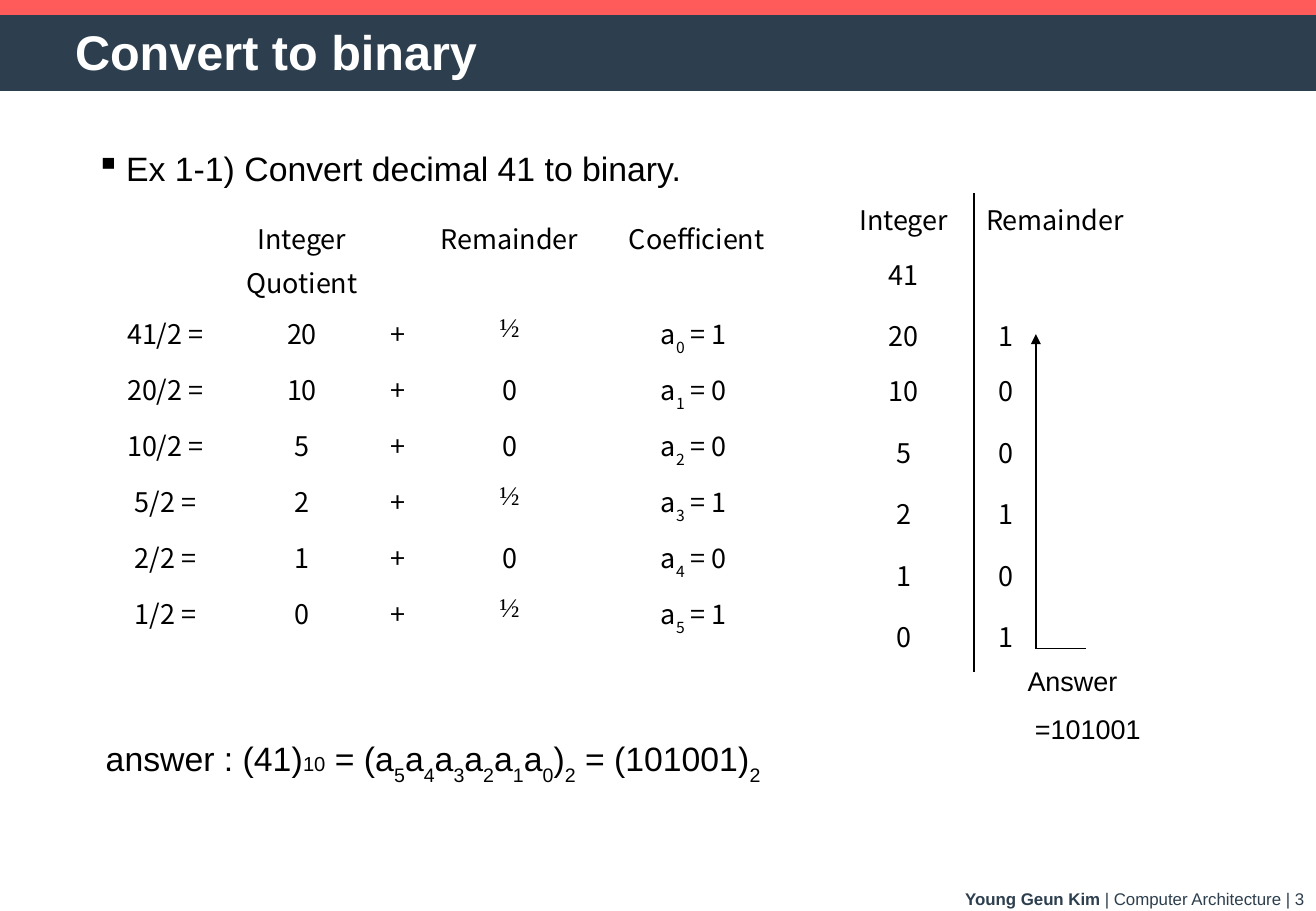
from lxml.etree import SubElement
from pptx import Presentation
from pptx.dml.color import RGBColor
from pptx.enum.shapes import MSO_CONNECTOR, MSO_SHAPE
from pptx.enum.text import MSO_ANCHOR, PP_ALIGN
from pptx.oxml.ns import qn
from pptx.util import Pt

COLORS = {"red": "FF5B5B", "navy": "2D3F4E", "white": "FFFFFF", "black": "000000"}
BODY_FONT = "Arial"
TABLE_FONT = "Noto Sans CJK KR"
FRACTION_FONT = "Times New Roman"
NO_GRID_STYLE = "{2D5ABB26-0587-4C30-8999-92F81FD0307C}"
DECIMAL = 41


def rgb(name):
    """Look up a colour by name."""
    return RGBColor.from_string(COLORS[name])


def add_band(slide, top, height, color):
    """Draw a full-width header band."""
    band = slide.shapes.add_shape(MSO_SHAPE.RECTANGLE, 0, Pt(top), Pt(780), Pt(height))
    band.shadow.inherit = False
    band.fill.solid()
    band.fill.fore_color.rgb = rgb(color)
    band.line.color.rgb = rgb(color)
    band.line.width = Pt(1)


def add_text_area(slide, left, top, width, height):
    """Add a wrapping text box and return its text frame."""
    frame = slide.shapes.add_textbox(Pt(left), Pt(top), Pt(width), Pt(height)).text_frame
    frame.word_wrap = True
    return frame


def write(paragraph, markup, size, font=BODY_FONT, color="black", align=PP_ALIGN.LEFT):
    """Style a paragraph and fill it; the character after "_" is a subscript."""
    paragraph.alignment = align
    paragraph.font.size = Pt(size)
    paragraph.font.name = font
    paragraph.font.color.rgb = rgb(color)
    add_runs(paragraph, markup)


def add_runs(paragraph, markup):
    """Append runs, lowering each character that follows "_"."""
    first, *rest = markup.split("_")
    if first:
        paragraph.add_run().text = first
    for piece in rest:
        subscript = paragraph.add_run()
        subscript.text = piece[0]
        subscript._r.get_or_add_rPr().set("baseline", "-30000")
        if piece[1:]:
            paragraph.add_run().text = piece[1:]


def set_indent(paragraph, left, first=0, bullet=None):
    """Indent a paragraph and give it an optional bullet."""
    properties = paragraph._p.get_or_add_pPr()
    properties.set("marL", str(Pt(left)))
    properties.set("indent", str(Pt(first)))
    if bullet:
        mark = SubElement(properties, qn("a:buChar"))
        mark.set("char", bullet)
        properties.insert(0, mark)


def add_plain_table(slide, left, top, widths, heights):
    """Add a table without grid, banding or fill."""
    table = slide.shapes.add_table(len(heights), len(widths), Pt(left), Pt(top),
                                   Pt(sum(widths)), Pt(sum(heights))).table
    table.first_row = table.horz_banding = False
    table._tbl.tblPr.find(qn("a:tableStyleId")).text = NO_GRID_STYLE
    for column, width in zip(table.columns, widths):
        column.width = Pt(width)
    for row, height in zip(table.rows, heights):
        row.height = Pt(height)
    for cell in table.iter_cells():
        cell.fill.background()
    return table


def fill_cell(cell, text, align=PP_ALIGN.CENTER):
    """Write one paragraph per line of text into a cell."""
    for index, line in enumerate(text.split("\n")):
        paragraph = cell.text_frame.add_paragraph() if index else cell.text_frame.paragraphs[0]
        font = FRACTION_FONT if line == "½" else TABLE_FONT
        write(paragraph, line, 16, font, align=align)
        paragraph.space_before = Pt(3)


def add_cell_border(cell, side):
    """Draw a thin black border on one side ("L" or "R") of a cell."""
    properties = cell._tc.get_or_add_tcPr()
    border = SubElement(properties, qn("a:ln" + side), w=str(Pt(1)))
    color = SubElement(SubElement(border, qn("a:solidFill")), qn("a:srgbClr"))
    color.set("val", COLORS["black"])
    properties.insert(0, border)


def add_line(slide, start, end, arrow=False):
    """Draw a thin line, with an optional arrowhead at its end."""
    points = [Pt(value) for value in (*start, *end)]
    line = slide.shapes.add_connector(MSO_CONNECTOR.STRAIGHT, *points)
    line.line.color.rgb = rgb("black")
    line.line.width = Pt(0.75)
    if arrow:
        SubElement(line.line._get_or_add_ln(), qn("a:tailEnd"), type="triangle")
    SubElement(line._element.spPr, qn("a:effectLst"))


def divide_by_two(number):
    """List (dividend, quotient, remainder) until the quotient is zero."""
    steps = []
    while number:
        quotient, remainder = divmod(number, 2)
        steps.append((number, quotient, remainder))
        number = quotient
    return steps


def add_division_table(slide, steps):
    """Show every division with its remainder and coefficient."""
    rows = [("", "Integer\nQuotient", "", "Remainder", "Coefficient")]
    for place, (dividend, quotient, remainder) in enumerate(steps):
        rows.append((f"{dividend}/2 =", str(quotient), "+", "½" if remainder else "0",
                     f"a_{place} = {remainder} "))
    table = add_plain_table(slide, 62, 126, (72, 90, 24, 108, 114), [56.4] + [33.2] * len(steps))
    for row, texts in zip(table.rows, rows):
        for cell, text in zip(row.cells, texts):
            if text:
                fill_cell(cell, text)


def add_remainder_table(slide, steps):
    """Show the short form: integers left, remainders right of a rule."""
    rows = [("Integer", "Remainder"), (str(DECIMAL), "")]
    rows += [(str(quotient), str(remainder)) for _, quotient, remainder in steps]
    heights = [32.6, 36.4, 32.6] + [36.4] * 5
    table = add_plain_table(slide, 494, 114.5, (83.3, 108.7), heights)
    for index, (integer, remainder) in enumerate(rows):
        integer_cell, remainder_cell = table.rows[index].cells
        fill_cell(integer_cell, integer)
        if remainder:
            fill_cell(remainder_cell, remainder, PP_ALIGN.LEFT)
        if index:
            remainder_cell.margin_left = Pt(14.4)
        add_cell_border(integer_cell, "R")
        add_cell_border(remainder_cell, "L")


def add_header_and_footer(slide):
    """Add the bands, the title and the footer."""
    add_band(slide, 0, 40, "red")
    add_band(slide, 9.4, 44, "navy")
    title_frame = add_text_area(slide, 37.4, 13.7, 672, 33)
    title_frame.vertical_anchor = MSO_ANCHOR.MIDDLE
    title = title_frame.paragraphs[0]
    write(title, "Convert to binary", 28.8, color="white")
    title.font.bold = True
    footer = add_text_area(slide, 482.6, 523.4, 297.4, 16.6).paragraphs[0]
    write(footer, "Young Geun Kim ", 10, color="navy", align=PP_ALIGN.RIGHT)
    footer.runs[0].font.bold = True
    add_runs(footer, "| Computer Architecture | 3")


def add_answers(slide, binary):
    """Add the reading direction and both forms of the answer."""
    corner = (614, 384.5)
    add_line(slide, corner, (643.7, 384.5))
    add_line(slide, corner, (614, 198), arrow=True)
    short_answer = add_text_area(slide, 602, 390.6, 108, 55)
    write(short_answer.paragraphs[0], "Answer", 16)
    value = short_answer.add_paragraph()
    write(value, f"={binary}", 16)
    value.space_before = Pt(9)
    set_indent(value, 4.4)

    full_answer = add_text_area(slide, 55.6, 434, 500, 32).paragraphs[0]
    write(full_answer, f"answer : ({DECIMAL})", 20)
    base = full_answer.add_run()
    base.text = "10"
    base.font.size = Pt(12)
    coefficients = "".join(f"a_{place}" for place in reversed(range(len(binary))))
    add_runs(full_answer, f" = ({coefficients})_2 = ({binary})_2")


def main():
    """Build the slide and save it."""
    deck = Presentation()
    deck.slide_width, deck.slide_height = Pt(780), Pt(540)
    slide = deck.slides.add_slide(deck.slide_layouts[6])
    steps = divide_by_two(DECIMAL)
    add_header_and_footer(slide)
    exercise = add_text_area(slide, 49.7, 84, 500, 32).paragraphs[0]
    write(exercise, f"Ex 1-1) Convert decimal {DECIMAL} to binary.", 20)
    set_indent(exercise, 18, -18, "▪")
    add_division_table(slide, steps)
    add_remainder_table(slide, steps)
    add_answers(slide, f"{DECIMAL:b}")
    deck.save("out.pptx")


main()
